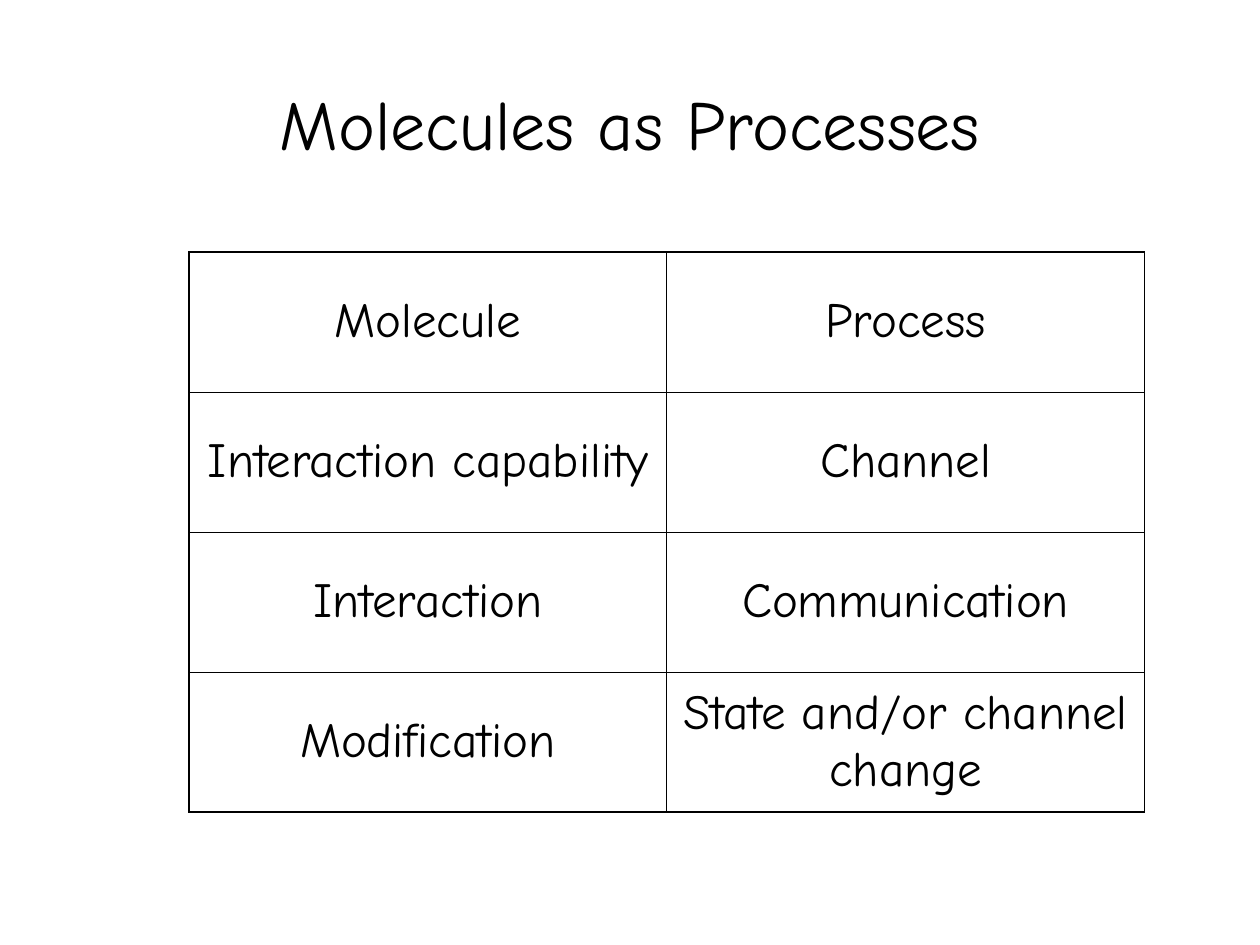
from lxml import etree
from pptx import Presentation
from pptx.dml.color import RGBColor
from pptx.enum import text
from pptx.oxml import ns
from pptx.util import Pt

BLACK = RGBColor(0, 0, 0)
FONT = "Comic Neue"
OUTER, INNER = Pt(1.08), Pt(0.45)
ROWS = [
    ("Molecule", "Process"),
    ("Interaction capability", "Channel"),
    ("Interaction", "Communication"),
    ("Modification", "State and/or channel change"),
]


def write(frame, words, size):
    """Put one centred paragraph into the text frame."""
    para = frame.paragraphs[0]
    para.alignment = text.PP_ALIGN.CENTER
    para.space_before = Pt(0)
    span = para.add_run()
    span.text = words
    span.font.name = FONT
    span.font.size = Pt(size)
    span.font.bold = False
    span.font.color.rgb = BLACK


def set_borders(cell, widths):
    """Draw solid borders; widths are left, right, top, bottom."""
    properties = cell._tc.get_or_add_tcPr()
    for place, (side, width) in enumerate(zip("LRTB", widths)):
        line = etree.Element(ns.qn(f"a:ln{side}"), w=str(int(width)))
        fill = etree.SubElement(line, ns.qn("a:solidFill"))
        etree.SubElement(fill, ns.qn("a:srgbClr"), val=str(BLACK))
        properties.insert(place, line)


def add_title(page, left, top, width, height):
    title = page.shapes.title
    title.left, title.top = Pt(left), Pt(top)
    title.width, title.height = Pt(width), Pt(height)
    title.text_frame.vertical_anchor = text.MSO_ANCHOR.MIDDLE
    write(title.text_frame, "Molecules as Processes", 40)


def add_comparison(page, left, top, width, height):
    last_row, last_column = len(ROWS) - 1, len(ROWS[0]) - 1
    table = page.shapes.add_table(len(ROWS), len(ROWS[0]), Pt(left), Pt(top),
                                  Pt(width), Pt(height)).table
    table.first_row = table.horz_banding = False
    for r, row in enumerate(ROWS):
        for c, words in enumerate(row):
            cell = table.cell(r, c)
            cell.fill.background()
            cell.vertical_anchor = text.MSO_ANCHOR.MIDDLE
            write(cell.text_frame, words, 28)
            on_edge = (c == 0, c == last_column, r == 0, r == last_row)
            set_borders(cell, [OUTER if edge else INNER for edge in on_edge])


def main():
    deck = Presentation()
    deck.slide_width, deck.slide_height = Pt(720), Pt(540)
    page = deck.slides.add_slide(deck.slide_layouts[5])
    add_title(page, 54, 24, 612, 91.5)
    add_comparison(page, 108, 144, 546, 320)
    deck.save("out.pptx")


if __name__ == "__main__":
    main()
